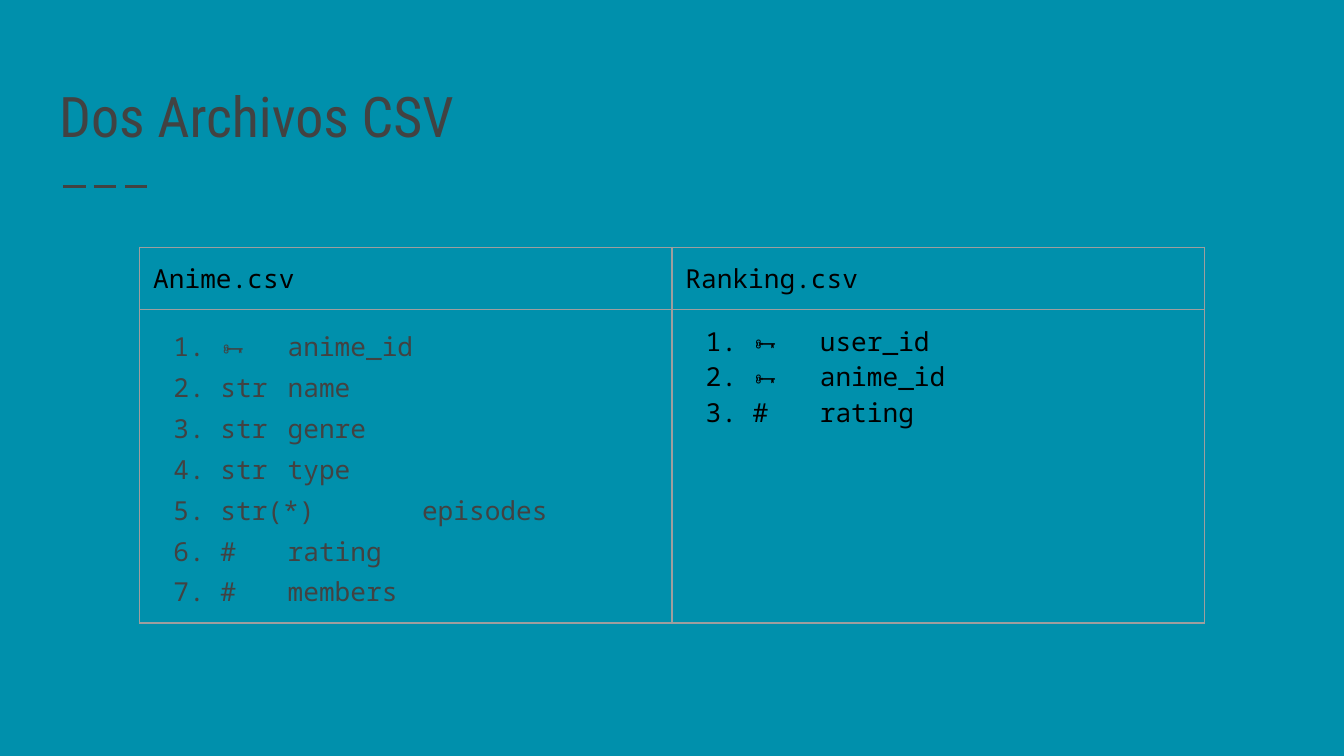
from dataclasses import dataclass

from lxml import etree
from pptx import Presentation
from pptx import util as u
from pptx.dml.color import RGBColor
from pptx.enum import dml, shapes, text
from pptx.oxml.ns import qn

BACKGROUND = RGBColor(0x00, 0x90, 0xAC)
DARK = RGBColor(0x42, 0x42, 0x42)
BLACK = RGBColor(0x00, 0x00, 0x00)
BORDER = RGBColor(0x9E, 0x9E, 0x9E)
TITLE_FONT = "Roboto Condensed"
MONO_FONT = "Noto Sans Mono"
MARGIN = u.Inches(0.1)


@dataclass
class CsvFile:
    name: str
    fields: list[tuple[str, str]]
    color: RGBColor
    spacing: float


FILES = [
    CsvFile("Anime.csv", [
        ("🗝", "anime_id"), ("str", "name"), ("str", "genre"),
        ("str", "type"), ("str(*)", "episodes"), ("# ", "rating"),
        ("#", "members"),
    ], DARK, 1.15),
    CsvFile("Ranking.csv", [
        ("🗝 ", "user_id"), ("🗝", "anime_id"), ("#", "rating"),
    ], BLACK, 1.0),
]


def sub(parent, tag: str, **attrs: str):
    el = etree.SubElement(parent, qn(tag))
    for key, value in attrs.items():
        el.set(key, value)
    return el


def set_margins(box) -> None:
    box.margin_left = box.margin_right = MARGIN
    box.margin_top = box.margin_bottom = MARGIN


def style_run(r, font: str, size: float, color: RGBColor) -> None:
    r.font.name = font
    r.font.size = u.Pt(size)
    r.font.color.rgb = color


def style_cell(cell) -> None:
    set_margins(cell)
    cell.fill.background()
    tcPr = cell._tc.get_or_add_tcPr()
    for i, side in enumerate(("a:lnL", "a:lnR", "a:lnT", "a:lnB")):
        ln = sub(tcPr, side, w=str(u.Pt(0.75)))
        sub(sub(ln, "a:solidFill"), "a:srgbClr", val=str(BORDER))
        tcPr.insert(i, ln)


def number_paragraph(p, color: RGBColor) -> None:
    pPr = p._p.get_or_add_pPr()
    pPr.set("marL", str(u.Inches(0.5)))
    pPr.set("indent", str(u.Inches(-0.35)))
    pPr.set("defTabSz", str(u.Inches(1)))
    sub(sub(pPr, "a:buClr"), "a:srgbClr", val=str(color))
    sub(pPr, "a:buFont", typeface=MONO_FONT)
    sub(pPr, "a:buAutoNum", type="arabicPeriod")


def fill_column(table, col: int, csv: CsvFile) -> None:
    head, body = table.cell(0, col), table.cell(1, col)
    style_cell(head)
    style_cell(body)
    head.text_frame.text = csv.name
    style_run(head.text_frame.paragraphs[0].runs[0], MONO_FONT, 14, BLACK)

    tf = body.text_frame
    tf.text = "\n".join(f"{kind}\t{field}" for kind, field in csv.fields)
    for p in tf.paragraphs:
        p.line_spacing = csv.spacing
        number_paragraph(p, csv.color)
        for r in p.runs:
            style_run(r, MONO_FONT, 14, csv.color)


def add_dashes(s) -> None:
    y = u.Inches(1.39)
    line = s.shapes.add_connector(shapes.MSO_CONNECTOR.STRAIGHT,
                                  u.Inches(0.47), y, u.Inches(1.14), y)
    line.line.color.rgb = DARK
    line.line.width = u.Pt(1.5)
    line.line.dash_style = dml.MSO_LINE.LONG_DASH
    sub(line._element.spPr, "a:effectLst")


def add_title(s, title: str) -> None:
    sp = s.shapes.title
    sp.left, sp.top = u.Inches(0.34), u.Inches(0.41)
    sp.width, sp.height = u.Inches(9.32), u.Inches(0.8)
    tf = sp.text_frame
    tf.text = title
    tf.vertical_anchor = text.MSO_ANCHOR.BOTTOM
    tf.auto_size = text.MSO_AUTO_SIZE.NONE
    set_margins(tf)
    p = tf.paragraphs[0]
    p.alignment = text.PP_ALIGN.LEFT
    style_run(p.runs[0], TITLE_FONT, 30, DARK)


def add_file_table(s, files: list[CsvFile]) -> None:
    heights = [u.Inches(0.46), u.Inches(2.33)]
    width = u.Inches(3.96)
    table = s.shapes.add_table(len(heights), len(files), u.Inches(1.04),
                               u.Inches(1.84), width * len(files),
                               sum(heights)).table
    table.first_row = table.horz_banding = False
    for row, height in zip(table.rows, heights):
        row.height = height
    for col, csv in enumerate(files):
        table.columns[col].width = width
        fill_column(table, col, csv)


def main() -> None:
    prs = Presentation()
    # Widescreen, 16:9
    prs.slide_width = u.Inches(10)
    prs.slide_height = u.Inches(10 * 9 / 16)
    s = prs.slides.add_slide(prs.slide_layouts[5])
    s.background.fill.solid()
    s.background.fill.fore_color.rgb = BACKGROUND

    # Heading with its dashed accent
    add_dashes(s)
    add_title(s, "Dos Archivos CSV")

    # One column per file
    add_file_table(s, FILES)
    prs.save("out.pptx")


if __name__ == "__main__":
    main()
